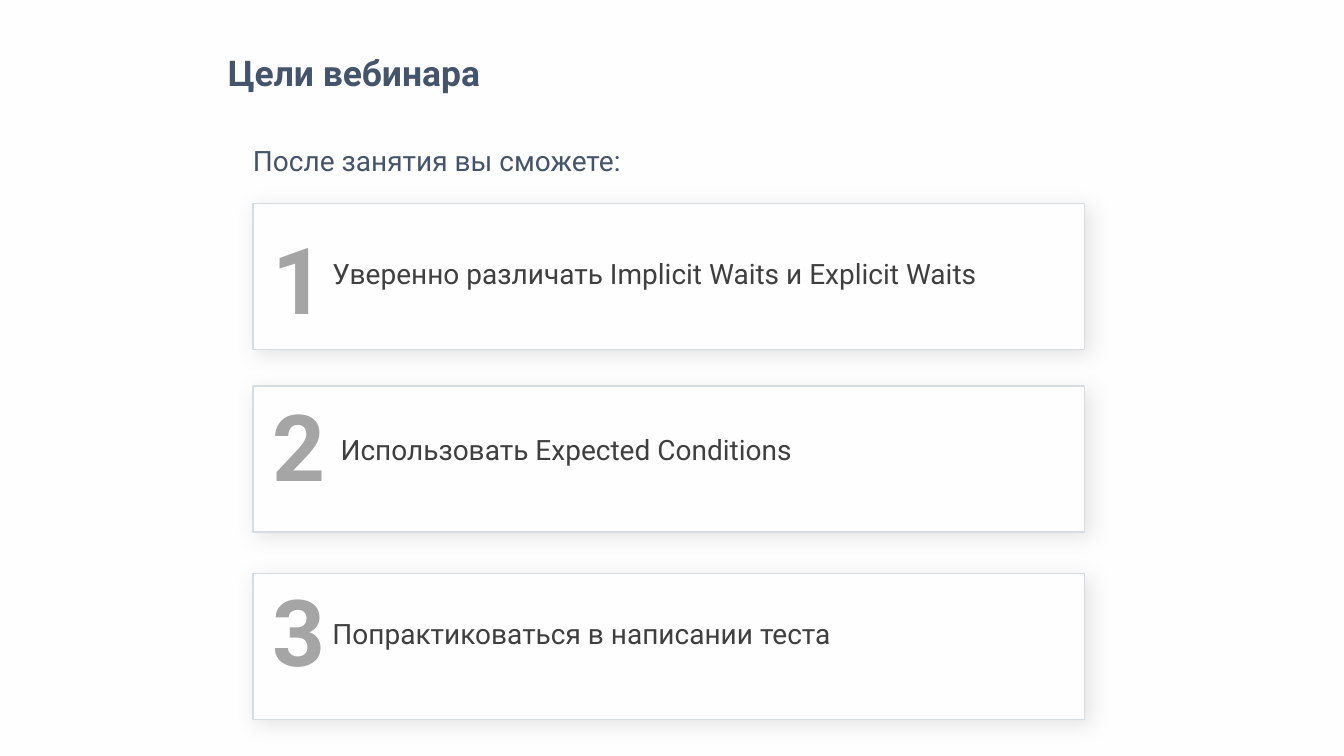
"""Build the webinar goals slide with three numbered cards."""
import dataclasses

import lxml.etree
import pptx
import pptx.dml.color
import pptx.enum.shapes
import pptx.enum.text
import pptx.oxml.ns
import pptx.presentation
import pptx.shapes.autoshape
import pptx.slide
import pptx.util

Pt = pptx.util.Pt
RGBColor = pptx.dml.color.RGBColor
MIDDLE = pptx.enum.text.MSO_ANCHOR.MIDDLE
TOP = pptx.enum.text.MSO_ANCHOR.TOP

BACKGROUND = RGBColor(0xFE, 0xFE, 0xFE)
BORDER = RGBColor(0xD5, 0xDD, 0xE3)
HEADING = RGBColor(0x44, 0x54, 0x6A)
NUMBER = RGBColor(0xA5, 0xA5, 0xA5)
BODY = RGBColor(0x3F, 0x3F, 0x3F)
FONT = "Roboto"
CARD_LEFT = 180.72
CARD_WIDTH = 594
CARD_HEIGHT = 104.4


@dataclasses.dataclass(frozen=True)
class Box:
    """Position and size in points."""
    left: float
    top: float
    width: float
    height: float

    def lengths(self) -> tuple[pptx.util.Length, ...]:
        """Return the four values as lengths."""
        return tuple(Pt(value) for value in dataclasses.astuple(self))


@dataclasses.dataclass(frozen=True)
class Goal:
    """One webinar goal with its card, number and text positions."""
    text: str
    card_top: float
    number_top: float
    text_box: Box


GOALS = (
    Goal("Уверенно различать Implicit Waits и Explicit Waits",
         145.44, 158.4, Box(230.4, 180, 543.6, 55.44)),
    Goal("Использовать Expected Conditions",
         275.76, 277.92, Box(236.16, 305.28, 509.76, 48.24)),
    Goal("Попрактиковаться в написании теста",
         409.68, 409.68, Box(230.4, 437.04, 521.28, 30.96)),
)


def write_text(shape: pptx.shapes.autoshape.Shape, text: str, *, size: float,
               color: RGBColor, bold: bool = False,
               anchor: pptx.enum.text.MSO_ANCHOR = MIDDLE,
               inset: tuple[float, float] = (0, 0),
               line_spacing: float | None = None) -> None:
    """Put one formatted paragraph of text into a shape."""
    frame = shape.text_frame
    frame.word_wrap = True
    frame.auto_size = pptx.enum.text.MSO_AUTO_SIZE.NONE
    frame.vertical_anchor = anchor
    frame.margin_left = frame.margin_right = Pt(inset[0])
    frame.margin_top = frame.margin_bottom = Pt(inset[1])
    paragraph = frame.paragraphs[0]
    paragraph.alignment = pptx.enum.text.PP_ALIGN.LEFT
    paragraph.line_spacing = line_spacing
    run = paragraph.add_run()
    run.text = text
    run.font.name = FONT
    run.font.size = Pt(size)
    run.font.bold = bold
    run.font.color.rgb = color


def add_soft_shadow(shape: pptx.shapes.autoshape.Shape) -> None:
    """Give a shape a faint shadow towards the lower right."""
    shape.shadow.inherit = False
    qn = pptx.oxml.ns.qn
    effects = shape.element.spPr.find(qn("a:effectLst"))
    shadow = lxml.etree.SubElement(
        effects, qn("a:outerShdw"), blurRad=str(Pt(15)), dist=str(Pt(3)),
        dir=str(45 * 60000), algn="tl", rotWithShape="0")
    color = lxml.etree.SubElement(shadow, qn("a:srgbClr"), val="000000")
    lxml.etree.SubElement(color, qn("a:alpha"), val="10000")


def add_goal(slide: pptx.slide.Slide, number: int, goal: Goal) -> None:
    """Draw a goal card with its number and text."""
    card_box = Box(CARD_LEFT, goal.card_top, CARD_WIDTH, CARD_HEIGHT)
    card = slide.shapes.add_shape(
        pptx.enum.shapes.MSO_SHAPE.RECTANGLE, *card_box.lengths())
    card.fill.solid()
    card.fill.fore_color.rgb = BACKGROUND
    card.line.color.rgb = BORDER
    card.line.width = Pt(1)
    add_soft_shadow(card)
    number_box = Box(194.4, goal.number_top, 62.64, 79.92)
    write_text(slide.shapes.add_textbox(*number_box.lengths()), str(number),
               size=66, color=NUMBER, bold=True)
    write_text(slide.shapes.add_textbox(*goal.text_box.lengths()), goal.text,
               size=20, color=BODY, anchor=TOP, inset=(7.2, 3.6))


def add_headings(slide: pptx.slide.Slide) -> None:
    """Fill the title placeholder and add the introduction line."""
    title = slide.shapes.title
    title_box = Box(162.72, 42.48, 521.28, 23.76)
    title.left, title.top, title.width, title.height = title_box.lengths()
    write_text(title, "Цели вебинара", size=25.3, color=HEADING, bold=True,
               line_spacing=0.8)
    introduction_box = Box(CARD_LEFT, 102.24, CARD_WIDTH, 24.48)
    write_text(slide.shapes.add_textbox(*introduction_box.lengths()),
               "После занятия вы сможете:", size=20, color=HEADING)


def build_presentation() -> pptx.presentation.Presentation:
    """Create the presentation with its single slide."""
    presentation = pptx.Presentation()
    presentation.slide_width = Pt(960)
    presentation.slide_height = Pt(540)
    slide = presentation.slides.add_slide(presentation.slide_layouts[5])
    slide.background.fill.solid()
    slide.background.fill.fore_color.rgb = BACKGROUND
    add_headings(slide)
    for number, goal in enumerate(GOALS, start=1):
        add_goal(slide, number, goal)
    return presentation


build_presentation().save("out.pptx")
